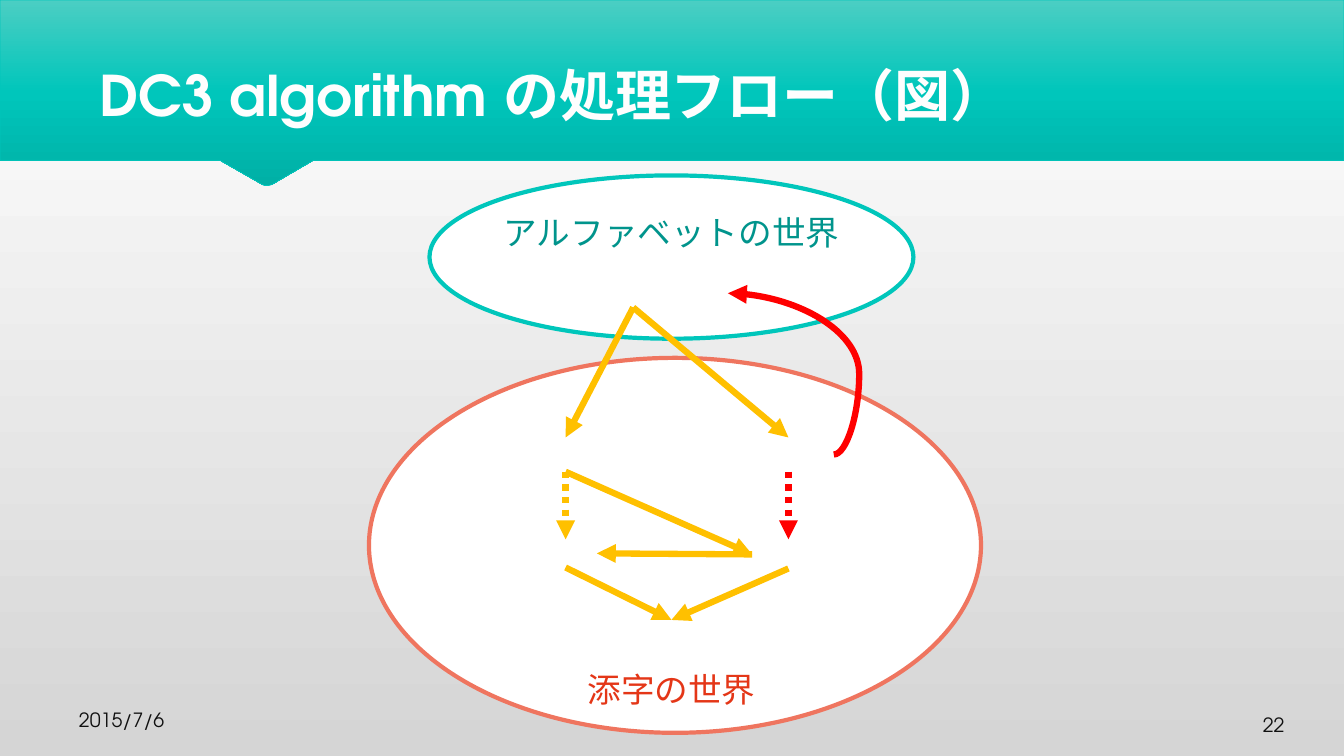
from dataclasses import dataclass

from lxml import etree
from pptx import Presentation
from pptx.dml.color import RGBColor
from pptx.enum.dml import MSO_LINE
from pptx.enum.shapes import MSO_CONNECTOR, MSO_SHAPE
from pptx.enum.text import MSO_ANCHOR, PP_ALIGN
from pptx.oxml import parse_xml
from pptx.oxml.ns import nsdecls, qn
from pptx.util import Inches, Pt

OVAL = MSO_SHAPE.OVAL
STRAIGHT, CURVE = MSO_CONNECTOR.STRAIGHT, MSO_CONNECTOR.CURVE
DOTTED = MSO_LINE.ROUND_DOT
TOP, BOTTOM = MSO_ANCHOR.TOP, MSO_ANCHOR.BOTTOM
LEFT, CENTER, RIGHT = PP_ALIGN.LEFT, PP_ALIGN.CENTER, PP_ALIGN.RIGHT


@dataclass(frozen=True)
class Theme:
    font: str = "TeX Gyre Adventor"
    title_size: int = 40
    label_size: int = 24
    footer_size: int = 14
    outline: float = 3
    arrow: float = 4.5
    white: str = "FFFFFF"
    title: str = "FEFEFE"
    teal: str = "00C6BB"
    dark_teal: str = "00948C"
    coral: str = "EF755F"
    dark_coral: str = "E43617"
    amber: str = "FFC000"
    red: str = "FF0000"
    ink: str = "101010"
    page_stops: tuple = ((0, "FFFFFF"), (100, "D5D5D5"))
    banner_stops: tuple = ((0, "4BCEC3"), (50, "00C6BB"), (100, "00B0A6"))


THEME = Theme()


def color(code):
    return RGBColor.from_string(code)


def fill_gradient(fill, holder, stops):
    fill.solid()
    solid = next(holder.iter(qn("a:solidFill")))
    marks = "".join(
        f'<a:gs pos="{position * 1000}"><a:srgbClr val="{code}"/></a:gs>'
        for position, code in stops
    )
    gradient = parse_xml(
        f'<a:gradFill {nsdecls("a")} rotWithShape="1"><a:gsLst>{marks}</a:gsLst>'
        '<a:lin ang="5400000" scaled="0"/></a:gradFill>'
    )
    solid.getparent().replace(solid, gradient)


def set_line(line, code, width):
    line.color.rgb = color(code)
    line.width = Pt(width)


def add_banner(page):
    outline = [
        (0, 0), (0, 1.59), (2.18, 1.59), (2.6, 1.83), (2.62, 1.84),
        (2.67, 1.84), (2.7, 1.83), (3.11, 1.59), (13.33, 1.59),
    ]
    builder = page.shapes.build_freeform(Inches(13.33), 0)
    builder.add_line_segments([(Inches(x), Inches(y)) for x, y in outline], close=True)
    banner = builder.convert_to_shape()
    banner.shadow.inherit = False
    fill_gradient(banner.fill, banner.element.spPr, THEME.banner_stops)
    set_line(banner.line, THEME.teal, 0.5)


def add_text(page, place, text, size, code, align=LEFT, anchor=TOP, bold=False):
    box = page.shapes.add_textbox(*map(Inches, place))
    frame = box.text_frame
    frame.word_wrap = True
    frame.vertical_anchor = anchor
    frame.text = text
    para = frame.paragraphs[0]
    para.alignment = align
    span = para.runs[0]
    span.font.name = THEME.font
    span.font.size = Pt(size)
    span.font.bold = bold
    span.font.color.rgb = color(code)
    return box


def add_text_shadow(box):
    for fill in box.element.iter(qn("a:solidFill")):
        fill.addnext(parse_xml(
            f'<a:effectLst {nsdecls("a")}>'
            '<a:outerShdw blurRad="38100" dist="25400" dir="3600000">'
            '<a:srgbClr val="000000"><a:alpha val="50000"/></a:srgbClr>'
            '</a:outerShdw></a:effectLst>'
        ))


def add_world(page, place, code):
    world = page.shapes.add_shape(OVAL, *map(Inches, place))
    world.shadow.inherit = False
    world.fill.solid()
    world.fill.fore_color.rgb = color(THEME.white)
    set_line(world.line, code, THEME.outline)


def add_arrow(page, start, end, code, dash=None, kind=STRAIGHT):
    arrow = page.shapes.add_connector(kind, *map(Inches, (*start, *end)))
    set_line(arrow.line, code, THEME.arrow)
    if dash:
        arrow.line.dash_style = dash
    properties = arrow.element.spPr
    etree.SubElement(properties.find(qn("a:ln")), qn("a:tailEnd"), type="triangle")
    etree.SubElement(properties, qn("a:effectLst"))
    return arrow


def bend(arrow, share):
    geometry = arrow.element.spPr.find(qn("a:prstGeom"))
    guides = geometry.find(qn("a:avLst"))
    if guides is None:
        guides = etree.SubElement(geometry, qn("a:avLst"))
    etree.SubElement(guides, qn("a:gd"), name="adj1", fmla=f"val {round(share * 100000)}")


def add_flow(page):
    source, merged = (6.28, 3.05), (6.66, 6.15)
    left, right = 5.61, 7.82
    inner_right = (7.46, 5.5)
    solid_arrows = [
        (source, (left, 4.34)),
        (source, (right, 4.34)),
        ((left, 5.63), merged),
        ((right, 5.64), merged),
        ((left, 4.68), inner_right),
        (inner_right, (5.92, 5.49)),
    ]
    for x, code in ((left, THEME.amber), (right, THEME.red)):
        add_arrow(page, (x, 4.68), (x, 5.35), code, dash=DOTTED)
    for start, end in solid_arrows:
        add_arrow(page, start, end, THEME.amber)
    recursion = add_arrow(page, (8.27, 4.51), (7.22, 2.91), THEME.red, kind=CURVE)
    bend(recursion, -0.24)


def main():
    deck = Presentation()
    deck.slide_width, deck.slide_height = Inches(13.33), Inches(7.5)
    page = deck.slides.add_slide(deck.slide_layouts[6])
    fill_gradient(page.background.fill, page.element, THEME.page_stops)

    add_banner(page)
    title = add_text(page, (0.89, 0.29, 11.55, 1.03), "DC3 algorithm の処理フロー（図）",
                     THEME.title_size, THEME.title, anchor=BOTTOM, bold=True)
    add_text_shadow(title)

    add_world(page, (4.26, 1.74, 4.8, 1.62), THEME.teal)
    add_text(page, (4.79, 2.05, 3.74, 0.5), "アルファベットの世界",
             THEME.label_size, THEME.dark_teal, CENTER)
    add_world(page, (3.66, 3.55, 6.07, 3.72), THEME.coral)
    add_text(page, (5.61, 6.59, 2.1, 0.5), "添字の世界",
             THEME.label_size, THEME.dark_coral, CENTER)
    add_flow(page)

    add_text(page, (0.26, 6.91, 1.47, 0.4), "2015/7/6",
             THEME.footer_size, THEME.ink, RIGHT, BOTTOM)
    number = add_text(page, (11.68, 6.78, 1.16, 0.54), "22",
                      THEME.footer_size, THEME.ink, RIGHT, BOTTOM)
    number.text_frame.margin_bottom = Inches(0.01)
    deck.save("out.pptx")


if __name__ == "__main__":
    main()
